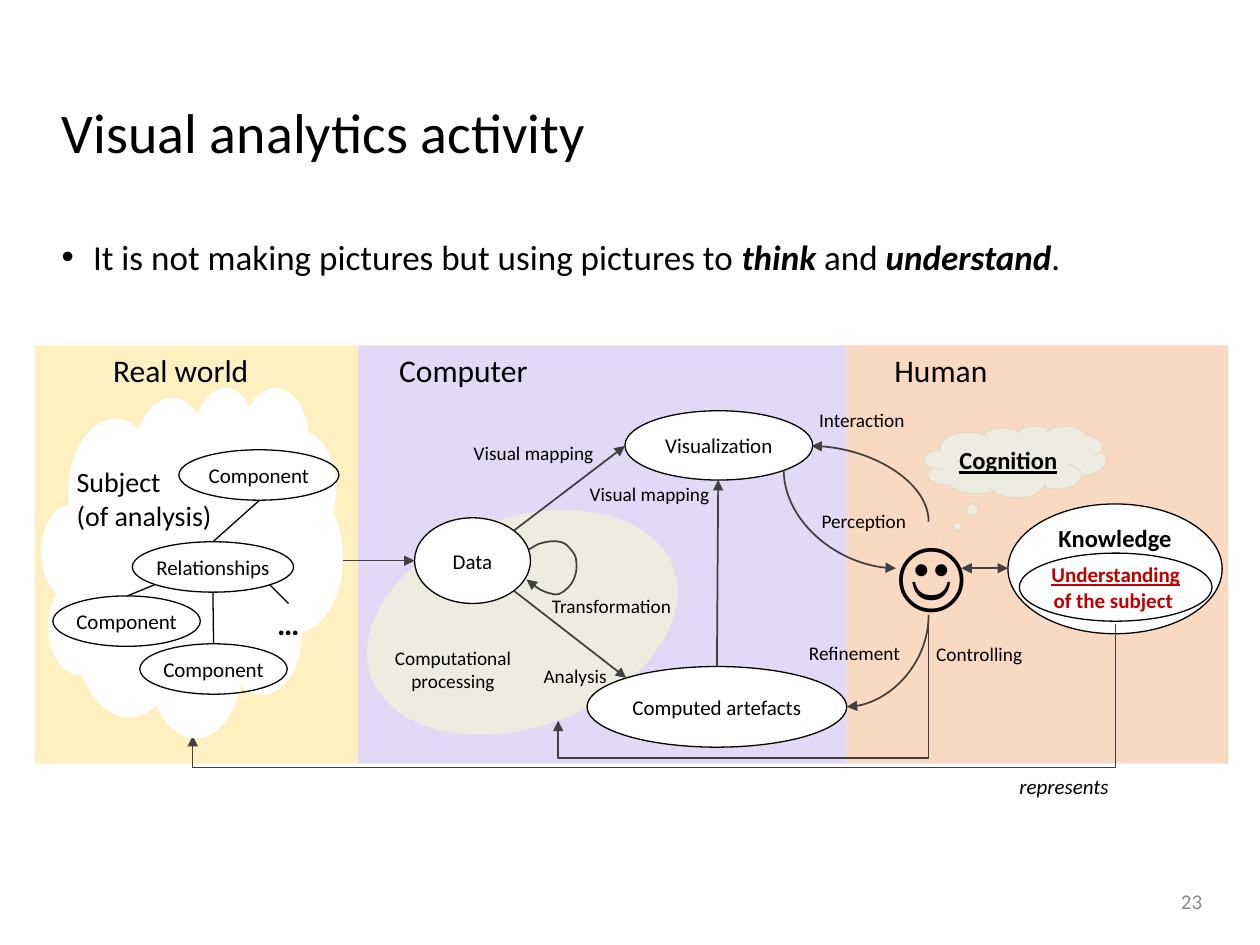
from pptx import Presentation
from pptx.dml.color import RGBColor
from pptx.enum.shapes import MSO_CONNECTOR, MSO_SHAPE
from pptx.enum.text import MSO_ANCHOR, MSO_AUTO_SIZE, PP_ALIGN
from pptx.oxml.ns import qn
from pptx.oxml.xmlchemy import OxmlElement
from pptx.util import Inches, Pt

COLORS = {
    "black": "000000", "white": "FFFFFF", "grey": "8C8C8C", "arrow": "404040",
    "human": "FAD9C2", "computer": "E1D9F5", "world": "FFF0C2",
    "beige": "EEECE1", "beige line": "DDD9C3", "red": "C00000",
}
FONT = "Calibri"
COLUMNS, ROWS = 100, 75


def cells(count):
    return Inches(round(count * 0.1, 3))


def color(name):
    return RGBColor.from_string(COLORS[name])


def add_span(para, text, size, ink="black", style=""):
    for index, line in enumerate(text.split("\n")):
        if index:
            para.add_line_break()
        span = para.add_run()
        span.text = line
        span.font.name = FONT
        span.font.size = Pt(size)
        span.font.color.rgb = color(ink)
        span.font.bold = "b" in style
        span.font.italic = "i" in style
        span.font.underline = "u" in style


def set_frame(frame, inset=(0, 0), wrap=True, anchor=MSO_ANCHOR.TOP):
    frame.margin_left = frame.margin_right = cells(inset[0])
    frame.margin_top = frame.margin_bottom = cells(inset[1])
    frame.word_wrap = wrap
    frame.auto_size = MSO_AUTO_SIZE.NONE
    frame.vertical_anchor = anchor


def add_label(page, area, text, size=11, style="", ink="black", wrap=False,
              align=PP_ALIGN.LEFT, inset=(0, 0), anchor=MSO_ANCHOR.TOP):
    box = page.shapes.add_textbox(*map(cells, area))
    set_frame(box.text_frame, inset, wrap, anchor)
    para = box.text_frame.paragraphs[0]
    para.alignment = align
    add_span(para, text, size, ink, style)


def add_form(page, kind, area, fill=None, line=None, weight=0.75):
    form = page.shapes.add_shape(kind, *map(cells, area))
    form.shadow.inherit = False
    if fill:
        form.fill.solid()
        form.fill.fore_color.rgb = color(fill)
    else:
        form.fill.background()
    if line:
        form.line.color.rgb = color(line)
        form.line.width = Pt(weight)
    else:
        form.line.fill.background()
    return form


def fill_form(form, *spans, anchor=MSO_ANCHOR.MIDDLE):
    set_frame(form.text_frame, anchor=anchor)
    para = form.text_frame.paragraphs[0]
    para.alignment = PP_ALIGN.CENTER
    for span in spans:
        add_span(para, *span)


def add_node(page, area, text, fill="white"):
    node = add_form(page, MSO_SHAPE.OVAL, area, fill, "black")
    fill_form(node, (text, 12))
    return node


def style_line(shape, ink, weight, heads):
    shape.line.color.rgb = color(ink)
    shape.line.width = Pt(weight)
    outline = shape.element.spPr.find(qn("a:ln"))
    for head in heads:
        tip = OxmlElement(f"a:{head}End")
        tip.set("type", "triangle")
        outline.append(tip)


def add_link(page, start, end, weight=1, heads=("tail",), ink="arrow",
             kind=MSO_CONNECTOR.STRAIGHT):
    link = page.shapes.add_connector(kind, *map(cells, (*start, *end)))
    style_line(link, ink, weight, heads)
    link.element.spPr.append(OxmlElement("a:effectLst"))
    return link


def add_turned_link(page, start, end, kind, preset, turn, flip=None, bend=None, weight=1):
    middle_x, middle_y = (start[0] + end[0]) / 2, (start[1] + end[1]) / 2
    half_width, half_height = abs(end[1] - start[1]) / 2, abs(end[0] - start[0]) / 2
    link = add_link(page, (middle_x - half_width, middle_y - half_height),
                    (middle_x + half_width, middle_y + half_height), weight, kind=kind)
    frame = link.element.spPr.find(qn("a:xfrm"))
    frame.set("rot", str(turn * 60000))
    if flip:
        frame.set(flip, "1")
    geometry = link.element.spPr.find(qn("a:prstGeom"))
    geometry.set("prst", preset)
    if bend:
        guide = OxmlElement("a:gd")
        guide.set("name", "adj1")
        guide.set("fmla", f"val {round(bend * 100000)}")
        geometry.get_or_add_avLst().append(guide)


def curve_points(start, segments, steps=10):
    for first, second, end in segments:
        for step in range(1, steps + 1):
            t = step / steps
            yield tuple(
                cells((1 - t) ** 3 * a + 3 * (1 - t) ** 2 * t * b + 3 * (1 - t) * t * t * c + t ** 3 * d)
                for a, b, c, d in zip(start, first, second, end))
        start = end


def add_loop(page):
    start = (42, 43.6)
    segments = [
        ((42.2, 43.5), (42.6, 43.2), (43, 43.1)), ((43.4, 43), (44, 42.9), (44.4, 43)),
        ((45, 43.1), (45.3, 43.6), (45.6, 44)), ((45.8, 44.4), (45.8, 45.1), (45.7, 45.5)),
        ((45.6, 46), (45.3, 46.5), (44.9, 46.8)), ((44.6, 47.1), (44.2, 47.3), (43.7, 47.1)),
        ((43.1, 47), (42.5, 46.6), (41.8, 46)),
    ]
    builder = page.shapes.build_freeform(*map(cells, start))
    builder.add_line_segments(list(curve_points(start, segments)), close=False)
    loop = builder.convert_to_shape()
    loop.shadow.inherit = False
    loop.fill.background()
    style_line(loop, "arrow", 1, ("tail",))


def add_heading(page):
    title = page.shapes.title
    title.left, title.top, title.width, title.height = map(cells, (3.9, 4, 92.5, 13.5))
    set_frame(title.text_frame, (1, 0.5), anchor=MSO_ANCHOR.MIDDLE)
    para = title.text_frame.paragraphs[0]
    para.alignment = PP_ALIGN.LEFT
    para.line_spacing = 0.9
    add_span(para, "Visual analytics activity", 32)

    body = page.shapes.add_textbox(*map(cells, (3.9, 18.2, 92.5, 7.2)))
    set_frame(body.text_frame, (1, 0.5))
    para = body.text_frame.paragraphs[0]
    settings = para._p.get_or_add_pPr()
    settings.set("marL", str(cells(2.5)))
    settings.set("indent", str(-cells(2.5)))
    for tag, key, value in (("a:buFont", "typeface", "Arial"), ("a:buChar", "char", "•")):
        bullet = OxmlElement(tag)
        bullet.set(key, value)
        settings.append(bullet)
    for text, style in (("It is not making pictures but using pictures to ", ""), ("think", "bi"),
                        (" and ", ""), ("understand", "bi"), (".", "")):
        add_span(para, text, 20, style=style)
    add_label(page, (73.9, 69.5, 22.5, 4), "23", 12, ink="grey", align=PP_ALIGN.RIGHT,
              inset=(1, 0.5), anchor=MSO_ANCHOR.MIDDLE)


def add_zones(page):
    edges = (2.8, 28.4, 67.2, 97.5)
    for left, right, fill in zip(edges, edges[1:], ("world", "computer", "human")):
        add_form(page, MSO_SHAPE.RECTANGLE, (left, 27.4, right - left, 33.2), fill)
    for left, width, name in ((8, 13, "Real world"), (30.7, 12.3, "Computer"), (70, 9.5, "Human")):
        add_label(page, (left, 27.4, width, 4), name, 18, inset=(1, 0.5))


def add_computer(page):
    processing = add_form(page, MSO_SHAPE.OVAL, (28.7, 41.1, 25.5, 16.6), "beige")
    processing.rotation = 340.3
    add_node(page, (32.9, 41.1, 9.2, 6.8), "Data")
    add_node(page, (49.6, 32.6, 14.9, 5.5), "Visualization")
    artefacts = add_node(page, (46.6, 52.9, 20.6, 6.4), "Computed artefacts")
    add_loop(page)
    add_link(page, (40.8, 42.1), (49.6, 35.4))
    add_link(page, (40.8, 46.9), (49.7, 53.8))
    add_link(page, (56.9, 52.9), (57, 38.1)).begin_connect(artefacts, 0)
    add_label(page, (43.8, 47.2, 9.7, 1.9), "Transformation")
    add_label(page, (40.3, 52.7, 10.7, 1.9), "Analysis", wrap=True, align=PP_ALIGN.CENTER)
    add_label(page, (46.8, 38.3, 10, 1.9), "Visual mapping", wrap=True)
    add_label(page, (37.6, 35, 9.5, 1.9), "Visual mapping")
    add_label(page, (29.7, 51.3, 12.5, 3.7), "Computational processing",
              wrap=True, align=PP_ALIGN.CENTER)


def add_human(page):
    curve, elbow = MSO_CONNECTOR.CURVE, MSO_CONNECTOR.ELBOW
    add_turned_link(page, (62.2, 37.3), (71.1, 45.1), curve, "curvedConnector2", 270, "flipH")
    add_turned_link(page, (73.7, 41.4), (64.4, 35.4), curve, "curvedConnector2", 270, "flipV")
    add_turned_link(page, (73.7, 48.8), (67.2, 56.1), curve, "curvedConnector2", 90)
    add_turned_link(page, (73.7, 48.8), (44.3, 57.2), elbow, "bentConnector3", 90, bend=1.355)
    add_link(page, (76.3, 45.1), (80, 45.1), heads=("head", "tail"))
    for left, top, text in ((65, 32.4, "Interaction"), (65.2, 40.4, "Perception"),
                            (74.3, 51, "Controlling")):
        add_label(page, (left, top, 6.9, 1.9), text)
    add_label(page, (64.2, 50.9, 8.1, 1.9), "Refinement", wrap=True)

    thought = add_form(page, MSO_SHAPE.CLOUD_CALLOUT, (73.3, 33.8, 14.5, 5.7),
                       "beige", "beige line", 0.5)
    thought.adjustments[0], thought.adjustments[1] = -0.383, 1.1
    fill_form(thought, ("Cognition", 14, "black", "bu"))
    knowledge = add_form(page, MSO_SHAPE.OVAL, (80, 40, 17, 10.3), "white", "black")
    fill_form(knowledge, ("Knowledge", 14, "black", "b"), anchor=MSO_ANCHOR.TOP)
    insight = add_form(page, MSO_SHAPE.OVAL, (80.9, 43.9, 15.3, 5.4), "white", "black")
    fill_form(insight, ("Understanding", 12, "red", "bu"), (" of the subject ", 12, "red", "b"))
    add_turned_link(page, (88.5, 49.5), (15.3, 58.4), elbow, "bentConnector3", 90,
                    bend=1.286, weight=0.5)
    add_label(page, (80.4, 61.4, 8.1, 2), "represents", 12, "i", wrap=True, align=PP_ALIGN.CENTER)
    add_label(page, (70.2, 41.2, 7.2, 8.4), "☺", 44, inset=(1, 0.5))


def add_world(page):
    add_link(page, (27.2, 44.5), (32.9, 44.5), 0.5)
    add_form(page, MSO_SHAPE.CLOUD, (3.3, 30.7, 23.9, 27.8), "white")
    add_node(page, (14.2, 35.7, 12.7, 4), "Component", None)
    lower = add_node(page, (11.1, 51.1, 11.7, 4), "Component", None)
    add_node(page, (4.2, 47.3, 11.7, 4), "Component", None)
    relations = add_node(page, (10.5, 43, 12.8, 4), "Relationships", None)
    add_label(page, (22, 47.9, 1.8, 3), "…", 18, "b")
    ends = (((20.6, 39.7), (16.9, 43), relations), ((22.9, 47.9), (21.4, 46.4), None),
            ((12.3, 46.4), (10.1, 47.3), None), ((16.9, 47), (16.9, 51.1), lower))
    for start, end, target in ends:
        link = add_link(page, start, end, 0.75, (), "black")
        if target:
            link.end_connect(target, 0)
    add_label(page, (5.1, 36.4, 13.2, 6.4), "Subject \n(of analysis)", 16, wrap=True, inset=(1, 0.5))


def main():
    deck = Presentation()
    deck.slide_width, deck.slide_height = cells(COLUMNS), cells(ROWS)
    page = deck.slides.add_slide(deck.slide_layouts[5])
    add_heading(page)
    add_zones(page)
    add_computer(page)
    add_human(page)
    add_world(page)
    deck.save("out.pptx")


if __name__ == "__main__":
    main()
